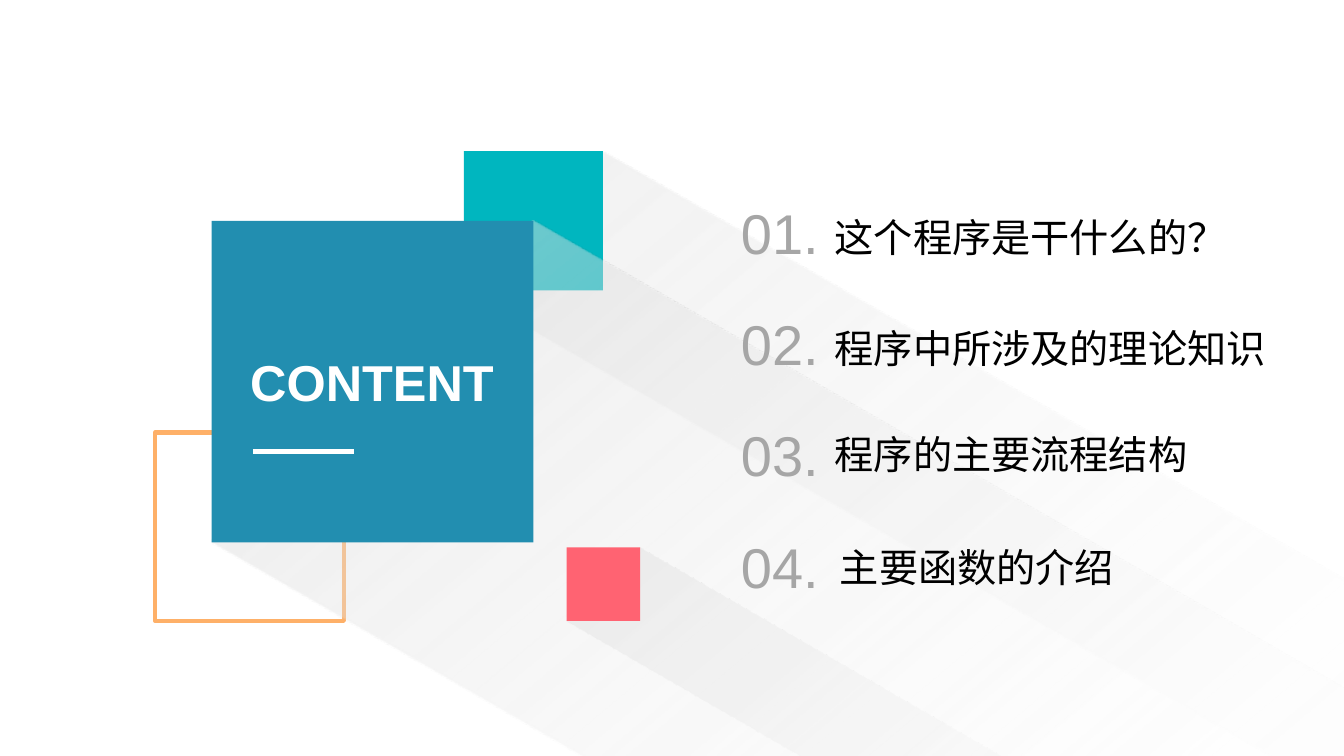
import math
from dataclasses import dataclass, field
from typing import Any

import lxml.etree
import pptx
import pptx.dml.color
import pptx.enum.shapes
import pptx.enum.text
import pptx.oxml
import pptx.oxml.ns
import pptx.util

qn = pptx.oxml.ns.qn
RGB = pptx.dml.color.RGBColor.from_string
ALIGN = pptx.enum.text.PP_ALIGN
ANCHOR = pptx.enum.text.MSO_ANCHOR
SHAPE = pptx.enum.shapes.MSO_SHAPE

COLS, ROWS = 133.3, 75
LIGHT_ANGLE = 30
ROW_PITCH = 11.03


@dataclass(frozen=True)
class Theme:
    font: str = "Arial"
    blue: str = "228EB0"
    teal: str = "00B6BF"
    coral: str = "FF6372"
    orange: str = "FEB068"
    white: str = "FFFFFF"
    black: str = "000000"
    gray: str = "A6A6A6"
    shade: tuple = ((0, "D9D9D9"), (85, "F2F2F2"), (100, "FFFFFF"))
    title_size: int = 36
    number_size: int = 40
    item_size: int = 28
    item_line: int = 36
    stroke: int = 3


@dataclass(frozen=True)
class Square:
    col: float
    row: float
    side: float
    color: str
    upper_ray: float = 0
    lower_ray: float = 0
    opacity: int = 0


@dataclass(frozen=True)
class Item:
    text: str
    row: float
    indent: float = 0


@dataclass(frozen=True)
class Style:
    size: int
    color: str
    bold: bool = False
    frame: dict[str, Any] = field(default_factory=dict)


THEME = Theme()
TEAL = Square(46, 15, 13.8, THEME.teal, 114.2, 118.8, 40)
FRAME = Square(15.4, 42.9, 18.7, THEME.orange)
BLUE = Square(21, 21.9, 31.9, THEME.blue, 97.8, 109.5, 60)
CORAL = Square(56.2, 54.3, 7.3, THEME.coral, 76.2, 79.1, 40)
ITEMS = (
    Item("这个程序是干什么的？", 20.3),
    Item("程序中所涉及的理论知识", 31.3),
    Item("程序的主要流程结构", 41.9),
    Item("主要函数的介绍", 53.1, 0.5),
)
TITLE = Style(THEME.title_size, THEME.white, True,
              {"word_wrap": False, "vertical_anchor": ANCHOR.MIDDLE})
NUMBER = Style(THEME.number_size, THEME.gray, frame={"word_wrap": False})
ENTRY = Style(THEME.item_size, THEME.black,
              frame={"word_wrap": True, "vertical_anchor": ANCHOR.TOP})


def grid(n: float) -> int:
    return pptx.util.Inches(n / 10)


def apply(target: Any, values: dict[str, Any]) -> None:
    for name, value in values.items():
        setattr(target, name, value)


def place(sp: Any, col: float, row: float, width: float, height: float) -> None:
    apply(sp, {"left": grid(col), "top": grid(row),
               "width": grid(width), "height": grid(height)})


def write(p: Any, text: str, style: Style) -> None:
    r = p.add_run()
    r.text = text
    apply(r.font, {"name": THEME.font, "size": pptx.util.Pt(style.size), "bold": style.bold})
    r.font.color.rgb = RGB(style.color)


def turn(x: float, y: float, degrees: float) -> tuple[float, float]:
    a = math.radians(degrees)
    return x * math.cos(a) - y * math.sin(a), x * math.sin(a) + y * math.cos(a)


def add_shadow(s: Any, sq: Square) -> None:
    bottom_left = turn(sq.col, sq.row + sq.side, -LIGHT_ANGLE)
    top_right = turn(sq.col + sq.side, sq.row, -LIGHT_ANGLE)
    flat = [bottom_left, top_right,
            (top_right[0] + sq.upper_ray, top_right[1]),
            (bottom_left[0] + sq.lower_ray, bottom_left[1])]
    xs, ys = zip(*flat)
    mid = (min(xs) + max(xs)) / 2, (min(ys) + max(ys)) / 2
    center = turn(*mid, LIGHT_ANGLE)
    points = [(grid(x + center[0] - mid[0]), grid(y + center[1] - mid[1])) for x, y in flat]
    builder = s.shapes.build_freeform(*points[0])
    builder.add_line_segments(points[1:], close=True)
    sp = builder.convert_to_shape()
    sp.rotation = LIGHT_ANGLE
    sp.shadow.inherit = False
    sp.line.fill.background()
    sp.fill.gradient()
    grad = sp.element.spPr.find(qn("a:gradFill"))
    stops = grad.find(qn("a:gsLst"))
    for stop in list(stops):
        stops.remove(stop)
    for pos, color in THEME.shade:
        stop = lxml.etree.SubElement(stops, qn("a:gs"), pos=str(pos * 1000))
        clr = lxml.etree.SubElement(stop, qn("a:srgbClr"), val=color)
        alpha = 0 if pos else sq.opacity
        lxml.etree.SubElement(clr, qn("a:alpha"), val=str(alpha * 1000))
    lin = grad.find(qn("a:lin"))
    lin.set("ang", str(20 * 60000))
    lin.set("scaled", "0")


def add_square(s: Any, sq: Square, outlined: bool = False) -> None:
    if sq.opacity:
        add_shadow(s, sq)
    sp = s.shapes.add_shape(SHAPE.RECTANGLE, *map(grid, (sq.col, sq.row, sq.side, sq.side)))
    sp.shadow.inherit = False
    if outlined:
        sp.fill.background()
        sp.line.color.rgb = RGB(sq.color)
        sp.line.width = pptx.util.Pt(THEME.stroke)
    else:
        sp.fill.solid()
        sp.fill.fore_color.rgb = RGB(sq.color)
        sp.line.fill.background()


def add_rule(s: Any, col: float, row: float, width: float) -> None:
    line = s.shapes.add_connector(pptx.enum.shapes.MSO_CONNECTOR.STRAIGHT,
                                  *map(grid, (col, row, col + width, row)))
    line.line.color.rgb = RGB(THEME.white)
    line.line.width = pptx.util.Pt(THEME.stroke)
    lxml.etree.SubElement(line.element.spPr, qn("a:effectLst"))


def fill_title(s: Any) -> None:
    sp = s.shapes.title
    place(sp, 23.7, 34.3, 26.4, 7.1)
    apply(sp.text_frame, TITLE.frame)
    p = sp.text_frame.paragraphs[0]
    p.alignment = ALIGN.CENTER
    write(p, "CONTENT", TITLE)


def fill_items(s: Any) -> None:
    sp = s.placeholders[1]
    place(sp, 81.8, ITEMS[0].row, 48, 39)
    tf = sp.text_frame
    apply(tf, {**ENTRY.frame, "auto_size": pptx.enum.text.MSO_AUTO_SIZE.NONE})
    line = pptx.util.Pt(THEME.item_line)
    for i, item in enumerate(ITEMS):
        p = tf.add_paragraph() if i else tf.paragraphs[0]
        gap = grid(item.row - ITEMS[i - 1].row) - line if i else 0
        apply(p, {"alignment": ALIGN.LEFT, "line_spacing": line,
                  "space_before": pptx.util.Emu(gap), "space_after": pptx.util.Pt(0)})
        pPr = p._p.get_or_add_pPr()
        pPr.set("marL", str(grid(item.indent)))
        pPr.set("indent", "0")
        lxml.etree.SubElement(pPr, qn("a:buNone"))
        write(p, item.text, ENTRY)


def add_number(s: Any, i: int) -> None:
    sp = s.shapes.add_textbox(*map(grid, (72.5, 19.2 + i * ROW_PITCH, 9.8, 7.7)))
    apply(sp.text_frame, NUMBER.frame)
    write(sp.text_frame.paragraphs[0], f"{i + 1:02d}.", NUMBER)


def main() -> None:
    prs = pptx.Presentation()
    apply(prs, {"slide_width": grid(COLS), "slide_height": grid(ROWS)})
    s = prs.slides.add_slide(prs.slide_layouts[1])
    add_square(s, TEAL)
    add_square(s, FRAME, outlined=True)
    add_square(s, BLUE)
    fill_title(s)
    s.shapes._spTree.append(s.shapes.title.element)
    add_rule(s, 25.1, 44.8, 10)
    add_square(s, CORAL)
    fill_items(s)
    s.shapes._spTree.append(s.placeholders[1].element)
    for i in range(len(ITEMS)):
        add_number(s, i)
    prs.save("out.pptx")


if __name__ == "__main__":
    main()
